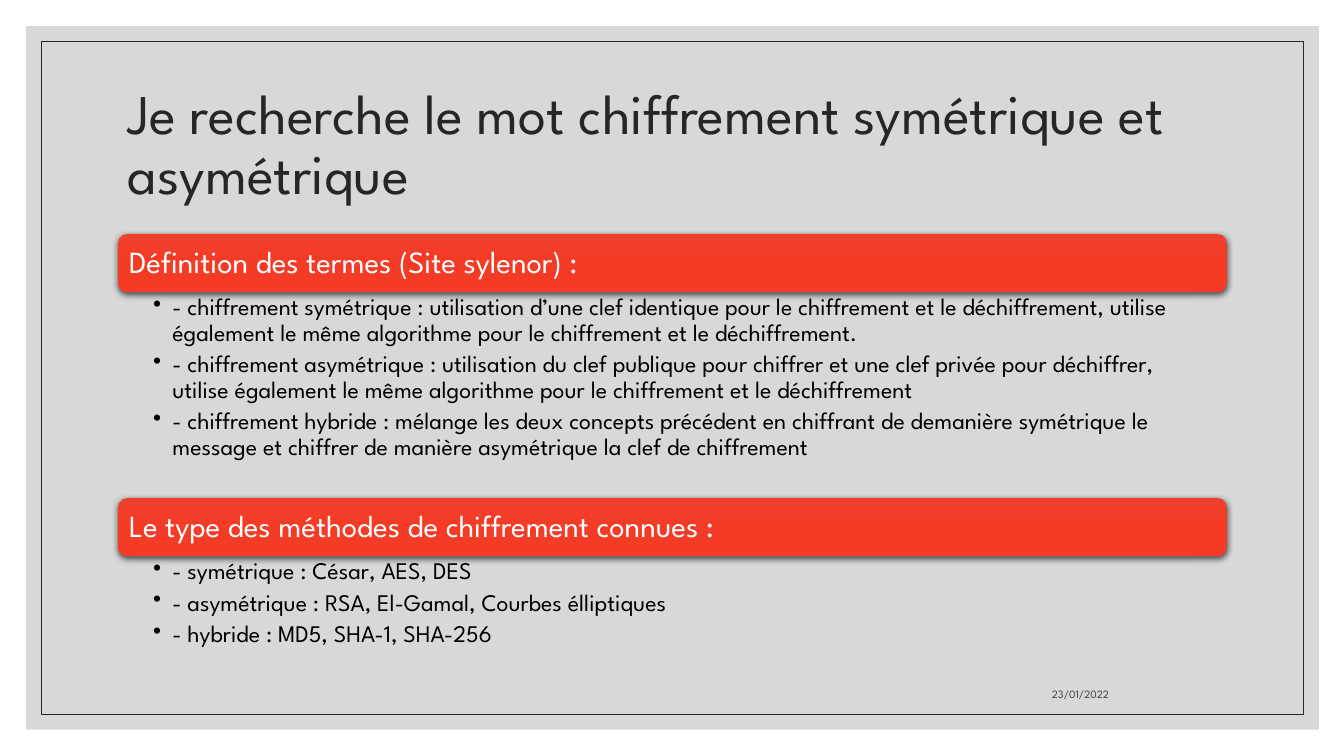
from pptx import Presentation
from pptx.dml.color import RGBColor
from pptx.enum.shapes import MSO_SHAPE as SHAPE
from pptx.enum.text import MSO_ANCHOR as ANCHOR, PP_ALIGN as ALIGN
from pptx.oxml import parse_xml
from pptx.oxml.ns import nsdecls, qn
from pptx.util import Inches, Pt

COLORS = {
    "panel": "BFBFBF", "ink": "262626", "date": "404040",
    "body": "000000", "white": "FFFFFF", "shadow": "000000",
    "bar_top": "F03F2B", "bar_mid": "F43B26", "bar_end": "F33B26",
}
FONT = "League Spartan"
LEFT, WIDTH, BAR_HEIGHT = 1.17, 11, 0.58

SECTIONS = [
    (2.32, 2.04, "Définition des termes (Site sylenor) :", [
        "- chiffrement symétrique : utilisation d’une clef identique pour le chiffrement "
        "et le déchiffrement, utilise également le même algorithme pour le chiffrement "
        "et le déchiffrement.",
        "- chiffrement asymétrique : utilisation du clef publique pour chiffrer et une "
        "clef privée pour déchiffrer, utilise également le même algorithme pour le "
        "chiffrement et le déchiffrement",
        "- chiffrement hybride : mélange les deux concepts précédent en chiffrant de "
        "demanière symétrique le message et chiffrer de manière asymétrique la clef "
        "de chiffrement",
    ]),
    (4.94, 0.97, "Le type des méthodes de chiffrement connues :", [
        "- symétrique : César, AES, DES",
        "- asymétrique : RSA, El-Gamal, Courbes élliptiques",
        "- hybride : MD5, SHA-1, SHA-256",
    ]),
]


def xml(tag, attrs="", inner=""):
    return parse_xml(f'<a:{tag} {nsdecls("a")} {attrs}>{inner}</a:{tag}>')


def color_xml(name, alpha=100):
    return f'<a:srgbClr val="{COLORS[name]}"><a:alpha val="{alpha * 1000}"/></a:srgbClr>'


class Deck:
    def __init__(self):
        self.prs = Presentation()
        self.prs.slide_width, self.prs.slide_height = Inches(13.33), Inches(7.5)
        self.s = self.prs.slides.add_slide(self.prs.slide_layouts[6])

    def color(self, name):
        return RGBColor.from_string(COLORS[name])

    def shape(self, kind, *box):
        sp = self.s.shapes.add_shape(kind, *map(Inches, box))
        sp.shadow.inherit = False
        sp.fill.background()
        sp.line.fill.background()
        return sp

    def panel(self, *box, fill, alpha):
        sp = self.shape(SHAPE.RECTANGLE, *box)
        sp.fill.solid()
        sp.fill.fore_color.rgb = self.color(fill)
        clr = sp._element.spPr.find(qn("a:solidFill"))[0]
        clr.append(xml("alpha", f'val="{alpha * 1000}"'))

    def frame(self, *box, line, width):
        sp = self.shape(SHAPE.RECTANGLE, *box)
        sp.line.color.rgb = self.color(line)
        sp.line.width = Pt(width)

    def bar(self, *box):
        sp = self.shape(SHAPE.ROUNDED_RECTANGLE, *box)
        sp.fill.gradient()
        sp.fill.gradient_angle = 270
        spPr = sp._element.spPr
        stops = spPr.find(qn("a:gradFill")).find(qn("a:gsLst"))
        for stop in list(stops):
            stops.remove(stop)
        for pos, name in ((0, "bar_top"), (50, "bar_mid"), (100, "bar_end")):
            stops.append(xml("gs", f'pos="{pos * 1000}"', color_xml(name)))
        spPr.find(qn("a:effectLst")).append(xml(
            "outerShdw",
            f'blurRad="{Pt(4.5)}" dist="{Pt(1.5)}" dir="5400000" algn="ctr" rotWithShape="0"',
            color_xml("shadow", 63)))

    def text(self, *box, lines, size, color, anchor=ANCHOR.TOP, align=ALIGN.LEFT,
             insets=(0.1, 0.05, 0.1, 0.05), spacing=0.9, after=0, bullet=False):
        tf = self.s.shapes.add_textbox(*map(Inches, box)).text_frame
        tf.word_wrap = True
        tf.vertical_anchor = anchor
        tf.margin_left, tf.margin_top, tf.margin_right, tf.margin_bottom = map(Inches, insets)
        for i, line in enumerate(lines):
            p = tf.add_paragraph() if i else tf.paragraphs[0]
            p.alignment, p.line_spacing, p.space_after = align, spacing, Pt(after)
            if bullet:
                p.level = 1
                pPr = p._p.get_or_add_pPr()
                pPr.set("marL", str(Inches(0.19)))
                pPr.set("indent", str(-Inches(0.19)))
                pPr.append(xml("buChar", 'char="•"'))
            r = p.add_run()
            r.text = line
            r.font.name, r.font.size = FONT, Pt(size)
            r.font.color.rgb = self.color(color)


deck = Deck()
deck.panel(0.26, 0.26, 12.82, 6.98, fill="panel", alpha=60)
deck.frame(0.41, 0.41, 12.52, 6.68, line="ink", width=0.5)
deck.text(LEFT, 0.7, WIDTH, 1.5, size=40, color="ink", anchor=ANCHOR.MIDDLE,
          lines=["Je recherche le mot chiffrement symétrique et asymétrique"])
deck.text(7.94, 6.6, 3.16, 0.4, lines=["23/01/2022"], size=8, color="date",
          anchor=ANCHOR.BOTTOM, align=ALIGN.RIGHT, spacing=1.0, after=6)

for top, height, heading, items in SECTIONS:
    deck.bar(LEFT, top, WIDTH, BAR_HEIGHT)
    deck.text(LEFT + 0.02, top + 0.03, WIDTH - 0.06, BAR_HEIGHT - 0.06, lines=[heading],
              size=22, color="white", anchor=ANCHOR.MIDDLE, insets=(0.09,) * 4)
    deck.text(LEFT, top + BAR_HEIGHT, WIDTH, height, lines=items, size=17, color="body",
              insets=(0.35, 0.03, 0.17, 0.03), after=4, bullet=True)

deck.prs.save("out.pptx")
